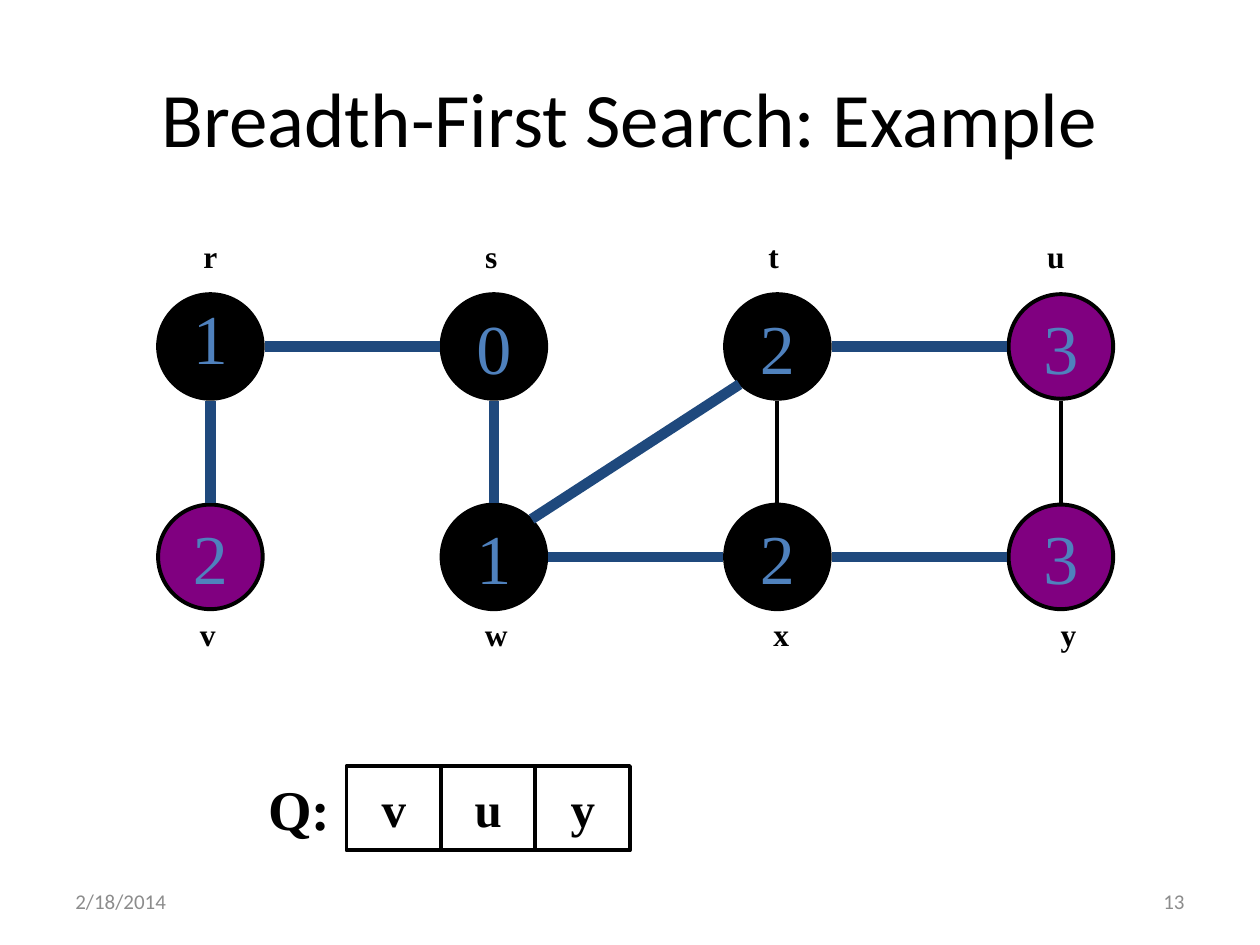
from pptx import Presentation
from pptx.dml.color import RGBColor
from pptx.enum.shapes import MSO_CONNECTOR, MSO_SHAPE
from pptx.enum.text import MSO_ANCHOR, PP_ALIGN
from pptx.oxml.ns import qn
from pptx.util import Inches, Pt
from lxml import etree

BLACK = RGBColor(0x00, 0x00, 0x00)
PURPLE = RGBColor(0x80, 0x00, 0x80)
BLUE = RGBColor(0x4F, 0x81, 0xBD)
NAVY = RGBColor(0x1F, 0x49, 0x7D)
GREY = RGBColor(0x8C, 0x8C, 0x8C)
SERIF, SANS = "Times New Roman", "Calibri"

DIAMETER = 0.83
COLUMNS = [1.67 + 2.25 * i for i in range(4)]
UPPER, LOWER = 2.75, 4.42
REACH = 0.43  # distance from a node's centre to the end of an edge
DIAGONAL = 0.3

# name: (column, row, distance, fill, label centre)
NODES = {
    "r": (0, UPPER, "1", BLACK, 1.67),
    "v": (0, LOWER, "2", PURPLE, 1.65),
    "s": (1, UPPER, "0", BLACK, 3.9),
    "w": (1, LOWER, "1", BLACK, 3.93),
    "t": (2, UPPER, "2", BLACK, 6.14),
    "x": (2, LOWER, "2", BLACK, 6.2),
    "u": (3, UPPER, "3", PURPLE, 8.38),
    "y": (3, LOWER, "3", PURPLE, 8.48),
}
TREE_EDGES = ["rv", "rs", "sw", "wt", "wx", "tu", "xy"]
OTHER_EDGES = ["tx", "uy"]
QUEUE = "vuy"


def write(shape, text, size, color, font=SERIF, bold=False,
          align=PP_ALIGN.CENTER, anchor=MSO_ANCHOR.MIDDLE, wrap=False):
    tf = shape.text_frame
    tf.word_wrap = wrap
    tf.vertical_anchor = anchor
    p = tf.paragraphs[0]
    p.alignment = align
    r = p.add_run()
    r.text = text
    r.font.size = Pt(size)
    r.font.name = font
    r.font.bold = bold
    r.font.color.rgb = color
    return p


def add_text(s, x, y, w, h, text, size, color, **style):
    box = s.shapes.add_textbox(Inches(x), Inches(y), Inches(w), Inches(h))
    write(box, text, size, color, **style)


def add_outlined(s, kind, x, y, w, h, fill=None):
    sp = s.shapes.add_shape(kind, Inches(x), Inches(y), Inches(w), Inches(h))
    sp.shadow.inherit = False
    if fill is None:
        sp.fill.background()
    else:
        sp.fill.solid()
        sp.fill.fore_color.rgb = fill
    sp.line.color.rgb = BLACK
    sp.line.width = Pt(2.25)
    return sp


def add_node(s, name):
    column, y, distance, fill, label_x = NODES[name]
    sp = add_outlined(s, MSO_SHAPE.OVAL, COLUMNS[column] - DIAMETER / 2,
                      y - DIAMETER / 2, DIAMETER, DIAMETER, fill)
    p = write(sp, distance, 40, BLUE)
    if name == "r":
        p.line_spacing = 0.7
    label_y = 1.83 if y == UPPER else 4.83
    add_text(s, label_x - 0.18, label_y, 0.36, 0.43, name, 18, BLACK,
             bold=True, anchor=MSO_ANCHOR.TOP)


def sign(value):
    return (value > 0) - (value < 0)


def add_edge(s, start, end, color, width):
    """Join two nodes rim to rim, at the nearest compass points."""
    x1, y1 = COLUMNS[NODES[start][0]], NODES[start][1]
    x2, y2 = COLUMNS[NODES[end][0]], NODES[end][1]
    reach = DIAGONAL if x1 != x2 and y1 != y2 else REACH
    dx, dy = reach * sign(x2 - x1), reach * sign(y2 - y1)
    line = s.shapes.add_connector(
        MSO_CONNECTOR.STRAIGHT, Inches(x1 + dx), Inches(y1 + dy),
        Inches(x2 - dx), Inches(y2 - dy))
    line.line.color.rgb = color
    line.line.width = Pt(width)
    etree.SubElement(line._element.spPr, qn("a:effectLst"))


def add_queue(s, x, y, w, h):
    add_text(s, x, y, w, h, "Q:", 32, BLACK, bold=True)
    for i, name in enumerate(QUEUE, 1):
        cell = add_outlined(s, MSO_SHAPE.RECTANGLE, x + i * w, y, w, h)
        write(cell, name, 28, BLACK, bold=True)


def add_title(s, text):
    title = s.shapes.title
    title.left, title.top = Inches(0.5), Inches(0.3)
    title.width, title.height = Inches(9), Inches(1.25)
    write(title, text, 44, BLACK, font=SANS, wrap=True)


def main():
    prs = Presentation()
    prs.slide_width, prs.slide_height = Inches(10), Inches(7.5)
    s = prs.slides.add_slide(prs.slide_layouts[5])
    add_title(s, "Breadth-First Search: Example")
    for name in NODES:
        add_node(s, name)
    for start, end in TREE_EDGES:
        add_edge(s, start, end, NAVY, 6)
    for start, end in OTHER_EDGES:
        add_edge(s, start, end, BLACK, 2.25)
    add_queue(s, 2, 6.08, 0.75, 0.67)
    for x, text, align in [(0.5, "2/18/2014", PP_ALIGN.LEFT),
                           (7.17, "13", PP_ALIGN.RIGHT)]:
        add_text(s, x, 6.95, 2.33, 0.4, text, 12, GREY, font=SANS,
                 align=align, wrap=True)
    prs.save("out.pptx")


if __name__ == "__main__":
    main()
